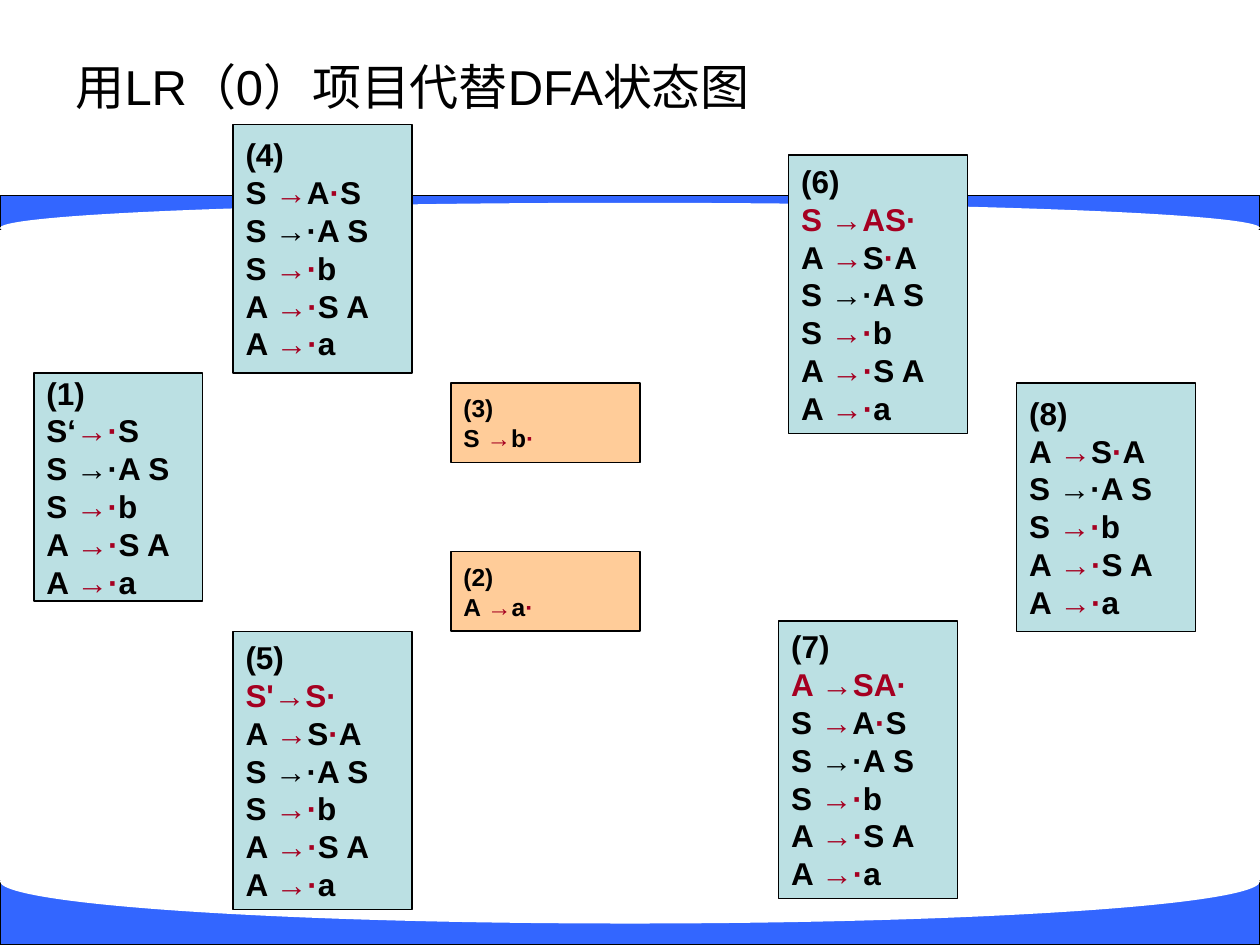
from pptx import Presentation
from pptx.dml.color import RGBColor
from pptx.enum.shapes import MSO_SHAPE as Shape
from pptx.enum.text import MSO_ANCHOR as Anchor, PP_ALIGN as Align
from pptx.util import Inches, Pt

BLACK, WHITE, RED = "000000", "FFFFFF", "A50021"
BAND_BLUE, STATE_BLUE, REDUCE_ORANGE = "3366FF", "BBE0E3", "FFCC99"
SLIDE_WIDTH, SLIDE_HEIGHT = 10, 7.5
STATE_WIDTH, REDUCE_WIDTH = 1.42, 1.5

# Parts between bars are red.
CLOSURE = ["S →·A S", "S |→·|b", "A |→·|S A", "A |→·|a"]
S_AFTER_A = "S |→|A|·|S"
A_AFTER_S = "A |→|S|·|A"

# (left, top, width, height), items
STATES = [
    ((0.27, 2.96, 1.34, 1.81), ["(1)", "S‘|→·|S", *CLOSURE]),
    ((1.85, 0.99, STATE_WIDTH, 1.97), ["(4)", S_AFTER_A, *CLOSURE]),
    ((1.85, 5.01, STATE_WIDTH, 2.21), ["(5)", "|S'→S·", A_AFTER_S, *CLOSURE]),
    ((6.26, 1.23, STATE_WIDTH, 2.21), ["(6)", "|S →AS·", A_AFTER_S, *CLOSURE]),
    ((6.18, 4.93, STATE_WIDTH, 2.2), ["(7)", "|A →SA·", S_AFTER_A, *CLOSURE]),
    ((8.07, 3.04, STATE_WIDTH, 1.97), ["(8)", A_AFTER_S, *CLOSURE]),
]
REDUCE_STATES = [
    ((3.58, 4.38, REDUCE_WIDTH, 0.63), ["(2)", "A |→|a|·"]),
    ((3.58, 3.04, REDUCE_WIDTH, 0.63), ["(3)", "S |→|b|·"]),
]


def color(hex_code):
    return RGBColor.from_string(hex_code)


def format_font(font, size, hex_code, bold=False):
    font.name = "Arial"
    font.size = Pt(size)
    font.bold = bold
    font.color.rgb = color(hex_code)


def add_filled(shapes, kind, box, fill, outlined=True):
    shape = shapes.add_shape(kind, *map(Inches, box))
    shape.shadow.inherit = False
    shape.fill.solid()
    shape.fill.fore_color.rgb = color(fill)
    if outlined:
        shape.line.color.rgb = color(BLACK)
        shape.line.width = Pt(0.75)
    else:
        shape.line.fill.background()
    return shape


def add_curved_band(slide, band_top, band_height, curve_top, curve_height):
    """Blue band with one edge cut into a curve by a white ellipse."""
    shapes = slide.shapes.add_group_shape().shapes
    add_filled(shapes, Shape.RECTANGLE, (0, band_top, SLIDE_WIDTH, band_height), BAND_BLUE)
    add_filled(shapes, Shape.OVAL, (0, curve_top, SLIDE_WIDTH, curve_height), WHITE, outlined=False)


def add_title(slide, text):
    title = slide.shapes.title
    title.left, title.top, title.width, title.height = map(Inches, (0.5, 0.3, 9, 0.77))
    frame = title.text_frame
    frame.text = text
    frame.vertical_anchor = Anchor.MIDDLE
    paragraph = frame.paragraphs[0]
    paragraph.alignment = Align.LEFT
    format_font(paragraph.runs[0].font, 28, BLACK)


def write_item(paragraph, item, size):
    paragraph.alignment = Align.LEFT
    for index, part in enumerate(item.split("|")):
        if part:
            run = paragraph.add_run()
            run.text = part
            format_font(run.font, size, RED if index % 2 else BLACK, bold=True)


def add_state(slide, box, items, fill, size):
    frame = add_filled(slide.shapes, Shape.RECTANGLE, box, fill).text_frame
    frame.word_wrap = False
    frame.vertical_anchor = Anchor.MIDDLE
    for index, item in enumerate(items):
        paragraph = frame.add_paragraph() if index else frame.paragraphs[0]
        write_item(paragraph, item, size)


def main():
    deck = Presentation()
    deck.slide_width, deck.slide_height = Inches(SLIDE_WIDTH), Inches(SLIDE_HEIGHT)
    slide = deck.slides.add_slide(deck.slide_layouts[5])
    add_curved_band(slide, 1.55, 0.27, 1.61, 0.4)
    add_curved_band(slide, 6.99, 0.51, 6.66, 0.67)
    add_title(slide, "用LR（0）项目代替DFA状态图")
    for box, items in REDUCE_STATES:
        add_state(slide, box, items, REDUCE_ORANGE, 14)
    for box, items in STATES:
        add_state(slide, box, items, STATE_BLUE, 18)
    deck.save("out.pptx")


if __name__ == "__main__":
    main()
